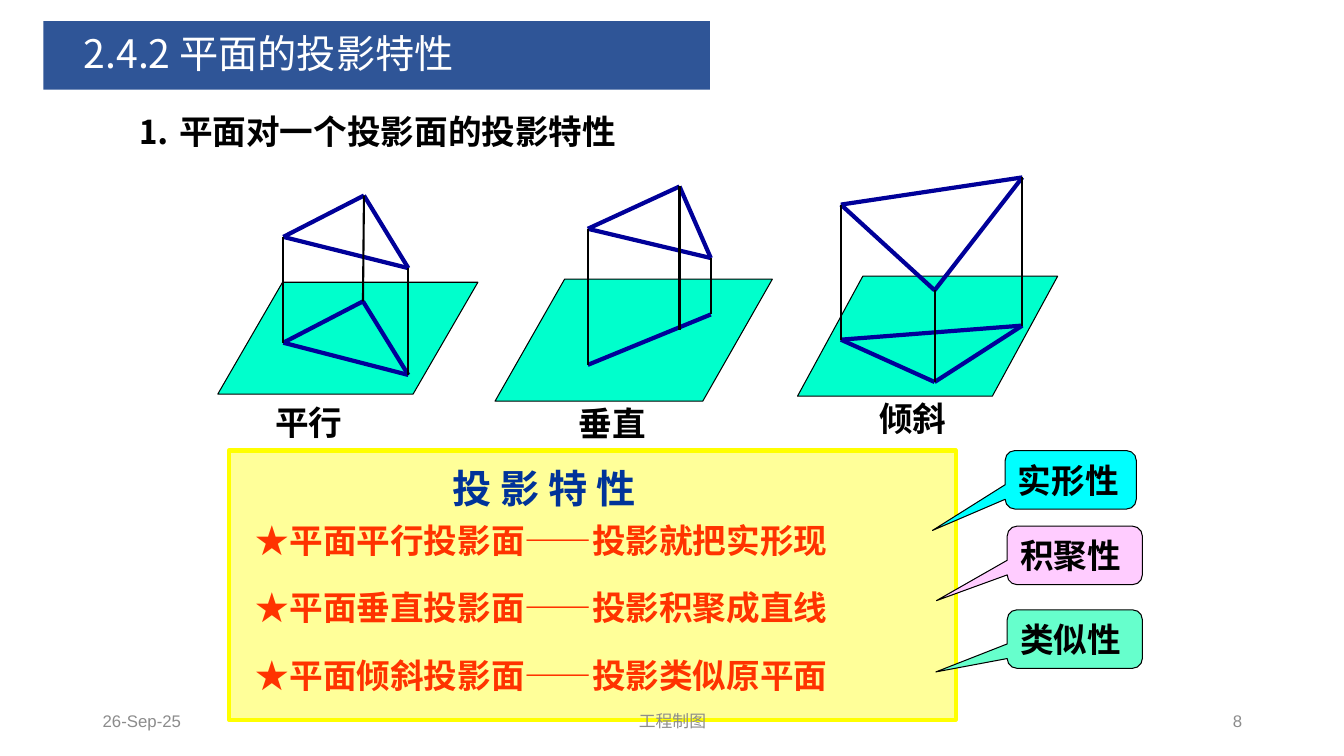
from itertools import combinations
from pptx import Presentation
from pptx.dml.color import RGBColor
from pptx.enum.shapes import MSO_CONNECTOR, MSO_SHAPE
from pptx.enum.text import MSO_ANCHOR, PP_ALIGN
from pptx.oxml.ns import qn
from pptx.util import Pt
from lxml.etree import SubElement

PX = 9144
BLACK = RGBColor(0, 0, 0)
WHITE = RGBColor(255, 255, 255)
GRAY = RGBColor(0x8C, 0x8C, 0x8C)
BLUE = RGBColor(0x2F, 0x55, 0x97)
NAVY = RGBColor(0, 0, 0x99)
INK = RGBColor(0, 0x33, 0x99)
RED = RGBColor(0xFF, 0x33, 0)
MINT = RGBColor(0, 0xFF, 0xCC)
CREAM = RGBColor(0xFF, 0xFF, 0x99)
YELLOW = RGBColor(0xFF, 0xFF, 0)
CYAN = RGBColor(0, 0xFF, 0xFF)
PINK = RGBColor(0xFF, 0xCC, 0xFF)
GREEN = RGBColor(0x66, 0xFF, 0xCC)
SANS = "Noto Sans CJK SC"
SERIF = "Times New Roman"
BOLD = {"size": Pt(24), "name": SERIF, "bold": True}

deck = Presentation()
deck.slide_width, deck.slide_height = 1333 * PX, 750 * PX
slide = deck.slides.add_slide(deck.slide_layouts[6])
shapes = slide.shapes


def add_form(kind, area, fill=None, line=None, width=0.75, adjust=()):
    form = shapes.add_shape(kind, *[n * PX for n in area])
    form.shadow.inherit = False
    for part, color in ((form.fill, fill), (form.line.fill, line)):
        if color is None:
            part.background()
        else:
            part.solid()
            part.fore_color.rgb = color
    if line is not None:
        form.line.width = Pt(width)
    for i, value in enumerate(adjust):
        form.adjustments[i] = value
    return form


def add_words(form, words, color, style, align=PP_ALIGN.LEFT):
    frame = form.text_frame
    frame.word_wrap = True
    frame.vertical_anchor = MSO_ANCHOR.MIDDLE
    para = frame.paragraphs[0]
    para.alignment = align
    run = para.add_run()
    run.text = words
    for key, value in style.items():
        setattr(run.font, key, value)
    run.font.color.rgb = color
    SubElement(run.font._element, qn("a:ea")).set("typeface", SANS)
    return frame


sides = list(combinations(range(3), 2))
figures = [
    ("平行", (263, 393, 132, 51), (216, 280, 258, 111), 0.579,
     [(281, 235), (361, 194), (405, 266)],
     [(281, 340), (360, 299), (405, 372)], sides),
    ("垂直", (564, 394, 121, 51), (491, 277, 275, 121), 0.57,
     [(583, 227), (674, 185), (705, 256)],
     [(583, 362), (674, 327), (705, 312)], [(0, 2)]),
    ("倾斜", (862, 389, 92, 51), (791, 274, 258, 119), 0.544,
     [(834, 203), (927, 288), (1014, 176)],
     [(834, 337), (927, 379), (1014, 323)], sides),
]
for name, label, plane, slant, top, base, trace in figures:
    add_form(MSO_SHAPE.PARALLELOGRAM, plane, MINT, BLACK, adjust=[slant])
    edges = [(top[a], top[b], NAVY, 3) for a, b in sides]
    edges += [(base[a], base[b], NAVY, 3) for a, b in trace]
    edges += [(a, b, BLACK, 1.5) for a, b in zip(top, base)]
    for start, end, color, width in edges:
        edge = shapes.add_connector(
            MSO_CONNECTOR.STRAIGHT, *[n * PX for n in start + end])
        edge.line.color.rgb = color
        edge.line.width = Pt(width)
        SubElement(edge._element.spPr, qn("a:effectLst"))
    add_words(add_form(MSO_SHAPE.RECTANGLE, label), name, BLACK, BOLD)

add_form(MSO_SHAPE.RECTANGLE, (227, 447, 721, 267), CREAM, YELLOW, 3)
head = add_form(MSO_SHAPE.RECTANGLE, (439, 455, 299, 57), CREAM)
add_words(head, "投 影 特 性", INK, {**BOLD, "size": Pt(28), "name": SANS})

rules = [
    "★平面平行投影面——投影就把实形现",
    "★平面垂直投影面——投影积聚成直线",
    "★平面倾斜投影面——投影类似原平面",
]
for i, rule in enumerate(rules):
    row = add_form(MSO_SHAPE.RECTANGLE, (244, 510 + 67 * i, 689, 51), CREAM)
    add_words(row, rule, RED, BOLD)

tags = [
    ("实形性", (997, 447, 130, 58), CYAN, (-1.055, 0.866)),
    ("积聚性", (999, 522, 134, 58), PINK, (-1.024, 0.774)),
    ("类似性", (999, 605, 134, 58), GREEN, (-1.028, 0.562)),
]
for name, area, color, tip in tags:
    tag = add_form(MSO_SHAPE.ROUNDED_RECTANGULAR_CALLOUT, area, color, BLACK,
                   adjust=[*tip, 0.167])
    add_words(tag, name, BLACK, BOLD)

topic = add_form(MSO_SHAPE.RECTANGLE, (127, 105, 530, 50))
add_words(topic, "⒈ 平面对一个投影面的投影特性", BLACK, {**BOLD, "name": SANS})

title = add_form(MSO_SHAPE.RECTANGLE, (43, 21, 661, 68), BLUE)
frame = add_words(title, "2.4.2 平面的投影特性", WHITE,
                  {"size": Pt(28), "name": SANS})
frame.margin_left = 40 * PX
frame.paragraphs[0].line_spacing = 0.9

feet = [
    ("26-Sep-25", 92, 300, PP_ALIGN.LEFT),
    ("工程制图", 442, 450, PP_ALIGN.CENTER),
    ("8", 942, 300, PP_ALIGN.RIGHT),
]
for words, left, width, align in feet:
    foot = add_form(MSO_SHAPE.RECTANGLE, (left, 695, width, 40))
    add_words(foot, words, GRAY, {"size": Pt(12), "name": "Arial"}, align)

deck.save("out.pptx")
